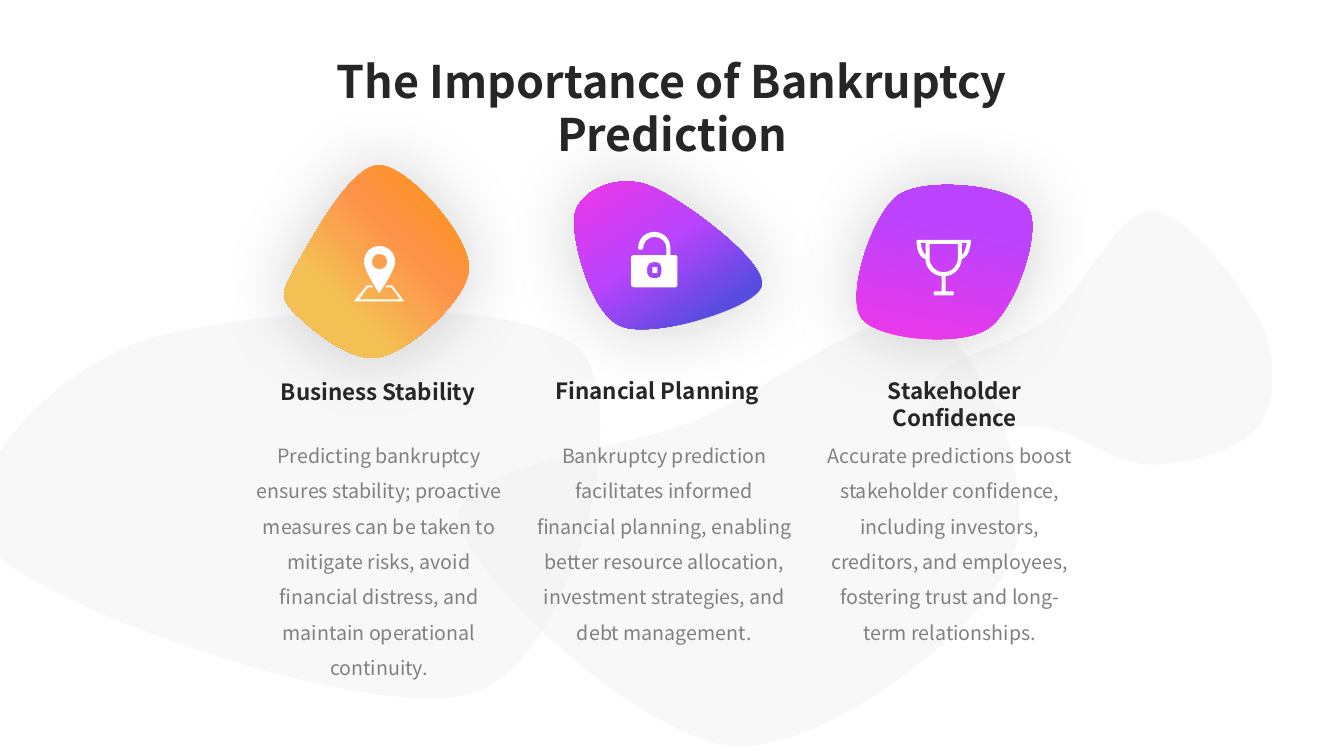
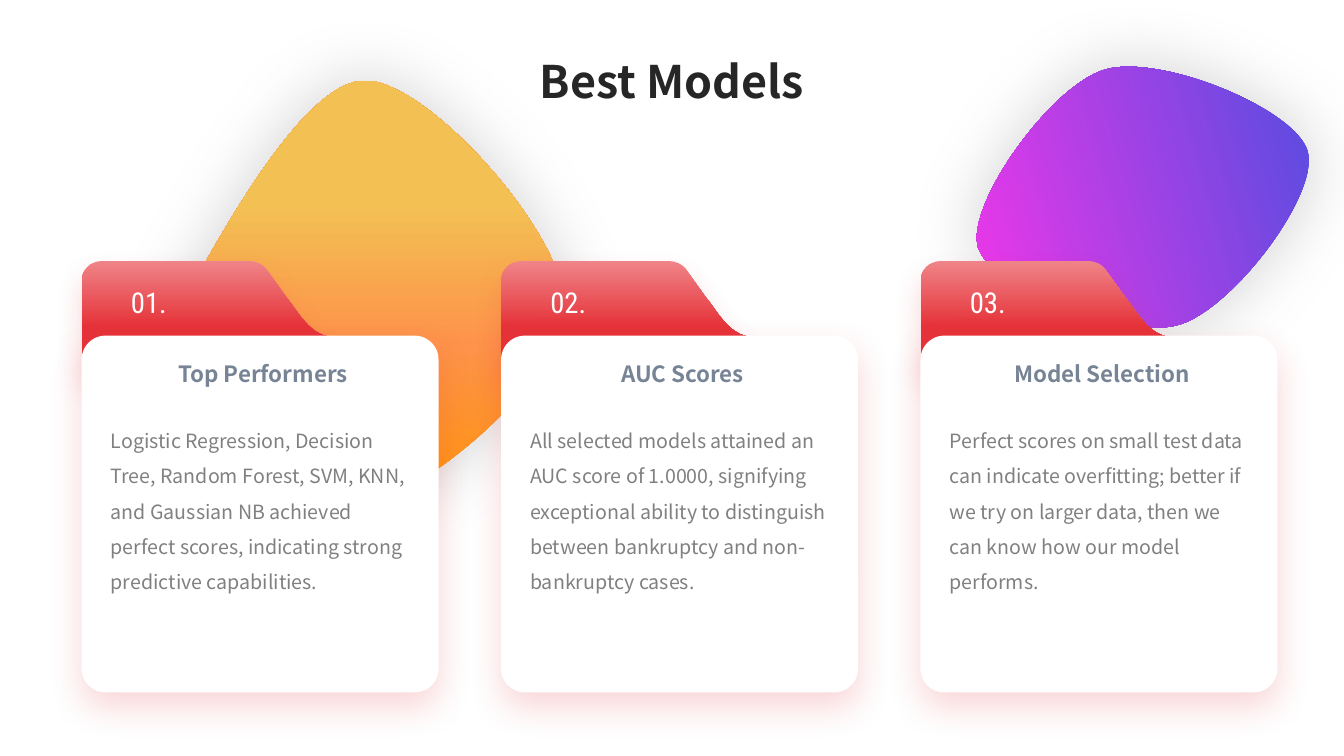
from dataclasses import dataclass

from pptx import Presentation
from pptx.dml.color import RGBColor
from pptx.enum.shapes import MSO_SHAPE
from pptx.enum.text import MSO_ANCHOR as Anchor, MSO_AUTO_SIZE as AutoSize, PP_ALIGN as Align
from pptx.oxml import parse_xml
from pptx.oxml.ns import nsdecls, qn
from pptx.util import Inches, Pt


@dataclass(frozen=True)
class Theme:
    font: str = "Noto Sans CJK SC"
    number_font: str = "Roboto Condensed"
    ink: str = "262626"
    grey: str = "808080"
    slate: str = "778495"
    white: str = "FFFFFF"
    mist: str = "F2F2F2"
    title_size: float = 32
    heading_size: float = 16
    body_size: float = 14
    number_size: float = 20.5
    sunset: tuple = ((0, "FF9409"), (38, "FE934B"), (71, "F3C053"))
    dusk: tuple = ((18, "584CE0"), (56, "BB43FD"), (100, "EE37E9"))
    orchid: tuple = ((0, "EE37E9"), (71, "BB43FD"))
    violet: tuple = ((0, "584CE0"), (100, "EE37E9"))
    tab: tuple = ((0, "EF8488"), (60, "E53238"))
    blob_shadow: tuple = ("000000", 18, 51, 0)
    tab_shadow: tuple = ("E53238", 20, 20, 10)
    card_shadow: tuple = ("E53238", 20, 25, 10)


theme = Theme()


def write(shapes, text, box=None, size=theme.body_size, color=theme.grey, font=theme.font,
          bold=False, align=Align.LEFT, anchor=Anchor.TOP, spacing=None):
    if box:
        shape = shapes.add_textbox(*[Inches(length) for length in box])
    else:
        shape = shapes.title
        shapes.element.append(shape.element)
    frame = shape.text_frame
    frame.word_wrap = True
    frame.auto_size = AutoSize.NONE
    frame.vertical_anchor = anchor
    paragraph = frame.paragraphs[0]
    paragraph.alignment = align
    paragraph.line_spacing = spacing
    run = paragraph.add_run()
    run.text = text
    run.font.name = font
    run.font.size = Pt(size)
    run.font.bold = bold
    run.font.color.rgb = RGBColor.from_string(color)


def draw(shapes, fill, outline=None, box=None, offset=0, angle=0, alpha=100, shadow=None):
    if box:
        shape = shapes.add_shape(MSO_SHAPE.ROUNDED_RECTANGLE, *[Inches(length) for length in box])
        shape.adjustments[0] = 0.067
    else:
        commands, edge = [], []
        for contour in outline.split(";"):
            for index, segment in enumerate(contour.split(",")):
                numbers = [float(number) for number in segment.split()]
                knots = [(x + offset, y) for x, y in zip(numbers[::2], numbers[1::2])]
                if len(knots) == 3:
                    commands.append(("cubicBezTo", knots))
                    curve = [edge[-1], *knots]
                    for step in range(1, 17):
                        t = step / 16
                        weights = ((1 - t) ** 3, 3 * t * (1 - t) ** 2, 3 * t * t * (1 - t), t ** 3)
                        edge.append([sum(w * knot[axis] for w, knot in zip(weights, curve)) for axis in (0, 1)])
                else:
                    commands.append(("lnTo" if index else "moveTo", knots))
                    edge += knots
            commands.append(("close", []))
        left, right = [limit(x for x, y in edge) for limit in (min, max)]
        top, bottom = [limit(y for x, y in edge) for limit in (min, max)]
        builder = shapes.build_freeform(Inches(left), Inches(top))
        builder.add_line_segments([(Inches(right), Inches(bottom))], close=False)
        shape = builder.convert_to_shape()
        geometry = shape.element.spPr.find(".//" + qn("a:path"))
        for child in list(geometry):
            geometry.remove(child)
        for command, knots in commands:
            points = "".join(f'<a:pt x="{Inches(x - left)}" y="{Inches(y - top)}"/>' for x, y in knots)
            geometry.append(parse_xml(f'<a:{command} {nsdecls("a")}>{points}</a:{command}>'))
    shape.line.fill.background()
    shape.shadow.inherit = False
    properties = shape.element.spPr
    if isinstance(fill, str):
        paint = (f'<a:solidFill {nsdecls("a")}><a:srgbClr val="{fill}">'
                 f'<a:alpha val="{alpha * 1000}"/></a:srgbClr></a:solidFill>')
    else:
        stops = "".join(f'<a:gs pos="{position * 1000}"><a:srgbClr val="{color}"/></a:gs>'
                        for position, color in fill)
        paint = (f'<a:gradFill {nsdecls("a")} rotWithShape="1"><a:gsLst>{stops}</a:gsLst>'
                 f'<a:lin ang="{round(angle * 60000)}" scaled="0"/></a:gradFill>')
    properties.find(qn("a:ln")).addprevious(parse_xml(paint))
    if shadow:
        color, opacity, blur, distance = shadow
        properties.find(qn("a:effectLst")).append(parse_xml(
            f'<a:outerShdw {nsdecls("a")} blurRad="{Pt(blur)}" dist="{Pt(distance)}" dir="5400000" '
            f'algn="ctr" rotWithShape="0"><a:srgbClr val="{color}">'
            f'<a:alpha val="{opacity * 1000}"/></a:srgbClr></a:outerShdw>'))


presentation = Presentation()
presentation.slide_width = Inches(13.33)
presentation.slide_height = Inches(7.5)
layout = presentation.slide_layouts.get_by_name("Title Only")
title = layout.placeholders[0]
title.left, title.top, title.width, title.height = [Inches(length) for length in (3.17, 0.48, 6.99, 0.64)]
title_format = dict(size=theme.title_size, color=theme.ink, bold=True, align=Align.CENTER)
heading_format = dict(size=theme.heading_size, bold=True, align=Align.CENTER)

shapes = presentation.slides.add_slide(layout).shapes
hills = (
    "5.75 3.47, 6.3 4.06 5.68 6.54 4.71 6.87, 3.75 7.2 0.5 6.06 -0.06 5.48, "
    "-0.61 4.9 0.44 3.71 1.4 3.39, 2.37 3.06 5.2 2.89 5.75 3.47",
    "6.9 4.17, 7.68 3.84 8.7 2.97 9.22 3.2, 9.74 3.44 10.35 4.88 10.02 5.58, "
    "9.69 6.28 8.17 7.47 7.26 7.4, 6.35 7.33 4.61 5.69 4.55 5.15, 4.49 4.61 6.13 4.49 6.9 4.17",
    "9.34 3.69, 9.51 3.51 10.05 3.42 10.4 3.16, 10.74 2.89 11.08 2.09 11.42 2.09, "
    "11.77 2.1 12.31 2.82 12.49 3.18, 12.67 3.53 12.66 4 12.48 4.23, 12.3 4.47 11.77 4.61 11.42 4.61, "
    "11.06 4.61 10.72 4.31 10.38 4.24, 10.03 4.18 9.52 4.33 9.35 4.23, 9.17 4.14 9.16 3.87 9.34 3.69",
)
for hill in hills:
    draw(shapes, theme.mist, hill, alpha=50)

blobs = (
    (theme.sunset, 135, "2.93 2.65, 3.07 2.41 3.47 1.64 3.76 1.64, 4.04 1.64 4.65 2.33 4.65 2.65, "
     "4.66 2.96 4.07 3.47 3.78 3.54, 3.49 3.62 3.07 3.25 2.92 3.1, 2.78 2.96 2.79 2.9 2.93 2.65"),
    (theme.dusk, 235.8, "6.43 1.84, 6.74 1.95 7.6 2.59 7.56 2.83, 7.52 3.06 6.48 3.36 6.17 3.24, "
     "5.86 3.13 5.66 2.36 5.7 2.13, 5.75 1.89 6.12 1.72 6.43 1.84"),
    (theme.orchid, 281.8, "8.54 3.15, 8.39 2.93 8.65 2.11 8.92 1.93, 9.2 1.75 10.05 1.84 10.2 2.07, "
     "10.34 2.29 10.07 3.08 9.8 3.26, 9.52 3.45 8.68 3.37 8.54 3.15"),
)
for fill, angle, outline in blobs:
    draw(shapes, fill, outline, angle=angle, shadow=theme.blob_shadow)
write(shapes, "The Importance of Bankruptcy Prediction", **title_format)

pin = (
    "3.64 2.83, 3.69 2.83, 3.7 2.85, 3.65 2.85, 3.56 2.97, 3.97 2.97, 3.88 2.85, 3.82 2.85, "
    "3.84 2.83, 3.89 2.83, 4.01 2.99, 3.51 2.99; "
    "3.76 2.52, 3.72 2.52 3.69 2.55 3.69 2.6, 3.69 2.64 3.72 2.67 3.76 2.67, "
    "3.81 2.67 3.84 2.64 3.84 2.6, 3.84 2.55 3.81 2.52 3.76 2.52; "
    "3.76 2.44, 3.85 2.44 3.92 2.51 3.92 2.6, 3.92 2.68 3.76 2.91 3.76 2.91, "
    "3.76 2.91 3.61 2.68 3.61 2.6, 3.61 2.51 3.68 2.44 3.76 2.44"
)
padlock = (
    "6.47 2.65, 6.52 2.65, 6.52 2.71, 6.47 2.71; "
    "6.48 2.6, 6.45 2.6 6.42 2.62 6.42 2.65, 6.42 2.71, 6.42 2.74 6.45 2.76 6.48 2.76, "
    "6.51 2.76, 6.54 2.76 6.56 2.74 6.56 2.71, 6.56 2.65, 6.56 2.62 6.54 2.6 6.51 2.6; "
    "6.49 2.3, 6.58 2.3 6.65 2.37 6.65 2.46, 6.65 2.53, 6.7 2.53, 6.71 2.53 6.72 2.54 6.72 2.55, "
    "6.72 2.83, 6.72 2.84 6.71 2.85 6.7 2.85, 6.29 2.85, 6.27 2.85 6.26 2.84 6.26 2.83, "
    "6.26 2.55, 6.26 2.54 6.27 2.53 6.29 2.53, 6.61 2.53, 6.61 2.46, 6.61 2.4 6.56 2.35 6.49 2.35, "
    "6.43 2.35 6.38 2.4 6.38 2.46, 6.38 2.47 6.37 2.48 6.35 2.48, 6.34 2.48 6.33 2.47 6.33 2.46, "
    "6.33 2.37 6.4 2.3 6.49 2.3"
)
trophy = (
    "9.63 2.39, 9.62 2.38, 9.1 2.38, 9.09 2.39, 9.09 2.4 9.09 2.55 9.18 2.57, "
    "9.18 2.66 9.25 2.73 9.34 2.74, 9.34 2.89, 9.27 2.89, 9.26 2.9, 9.26 2.92, 9.27 2.93, 9.45 2.93, "
    "9.46 2.92, 9.46 2.9, 9.45 2.89, 9.38 2.89, 9.38 2.74, 9.47 2.73 9.53 2.66 9.54 2.57, "
    "9.62 2.55 9.63 2.4 9.63 2.39; "
    "9.36 2.7, 9.28 2.7 9.22 2.64 9.22 2.56, 9.22 2.42, 9.5 2.42, 9.5 2.56, 9.5 2.64 9.44 2.7 9.36 2.7; "
    "9.18 2.53, 9.15 2.51 9.14 2.45 9.13 2.41, 9.18 2.41; "
    "9.54 2.53, 9.54 2.41, 9.59 2.41, 9.58 2.45 9.57 2.51 9.54 2.53"
)
for icon in (pin, padlock, trophy):
    draw(shapes, theme.white, icon)

reasons = (
    (2.37, 3.7, "Business Stability",
     "Predicting bankruptcy ensures stability; proactive measures can be taken to mitigate risks, "
     "avoid financial distress, and maintain operational continuity."),
    (5.14, 3.69, "Financial Planning",
     "Bankruptcy prediction facilitates informed financial planning, enabling better resource allocation, "
     "investment strategies, and debt management."),
    (8.09, 3.69, "Stakeholder Confidence",
     "Accurate predictions boost stakeholder confidence, including investors, creditors, and employees, "
     "fostering trust and long-term relationships."),
)
for column, (left, top, heading, body) in enumerate(reasons):
    write(shapes, heading, (left, top, 2.76, 0.37), color=theme.ink, **heading_format)
    write(shapes, body, (2.38 + column * 2.83, 4.24, 2.76, 2.18), align=Align.CENTER, spacing=1.5)

shapes = presentation.slides.add_slide(layout).shapes
backdrops = (
    (theme.sunset, 270, "1.79 3.04, 2.1 2.5 2.98 0.8 3.62 0.8, 4.25 0.8 5.59 2.32 5.6 3.02, "
     "5.61 3.72 4.31 4.83 3.67 5, 3.03 5.17 2.09 4.35 1.77 4.03, 1.45 3.7 1.48 3.57 1.79 3.04"),
    (theme.violet, 163.8, "9.7 2.45, 9.58 2.03 10.42 0.85 10.96 0.69, 11.51 0.53 12.85 1.08 12.97 1.5, "
     "13.09 1.92 12.24 3.05 11.7 3.22, 11.16 3.38 9.82 2.87 9.7 2.45"),
)
for fill, angle, outline in backdrops:
    draw(shapes, fill, outline, angle=angle, shadow=theme.blob_shadow)
write(shapes, "Best Models", **title_format)

tab = (
    "3.26 3.34, 0.81 3.69, 0.81 2.79, 0.81 2.68 0.9 2.59 1.01 2.59, 2.48 2.59, "
    "2.54 2.59 2.6 2.62 2.64 2.67, 2.84 2.95, 2.95 3.08 3.05 3.3 3.26 3.34"
)
findings = (
    ("Top Performers",
     "Logistic Regression, Decision Tree, Random Forest, SVM, KNN, and Gaussian NB achieved perfect scores, "
     "indicating strong predictive capabilities."),
    ("AUC Scores",
     "All selected models attained an AUC score of 1.0000, signifying exceptional ability to distinguish "
     "between bankruptcy and non-bankruptcy cases."),
    ("Model Selection",
     "Perfect scores on small test data can indicate overfitting; better if we try on larger data, "
     "then we can know how our model performs."),
)
for column, (heading, body) in enumerate(findings):
    offset = column * 4.16
    card = shapes.add_group_shape().shapes
    draw(card, theme.tab, tab, offset=offset, angle=90, shadow=theme.tab_shadow)
    draw(card, theme.white, box=(0.81 + offset, 3.33, 3.54, 3.54), shadow=theme.card_shadow)
    write(card, f"{column + 1:02}.", (1.2 + offset, 2.8, 0.94, 0.39), size=theme.number_size,
          color=theme.white, font=theme.number_font, anchor=Anchor.MIDDLE)
    write(shapes, heading, (1.03 + offset, 3.52, 3.16, 0.37), color=theme.slate, **heading_format)
    write(shapes, body, (1 + offset, 4.09, 3.18, 1.83), spacing=1.5)

presentation.save("out.pptx")
